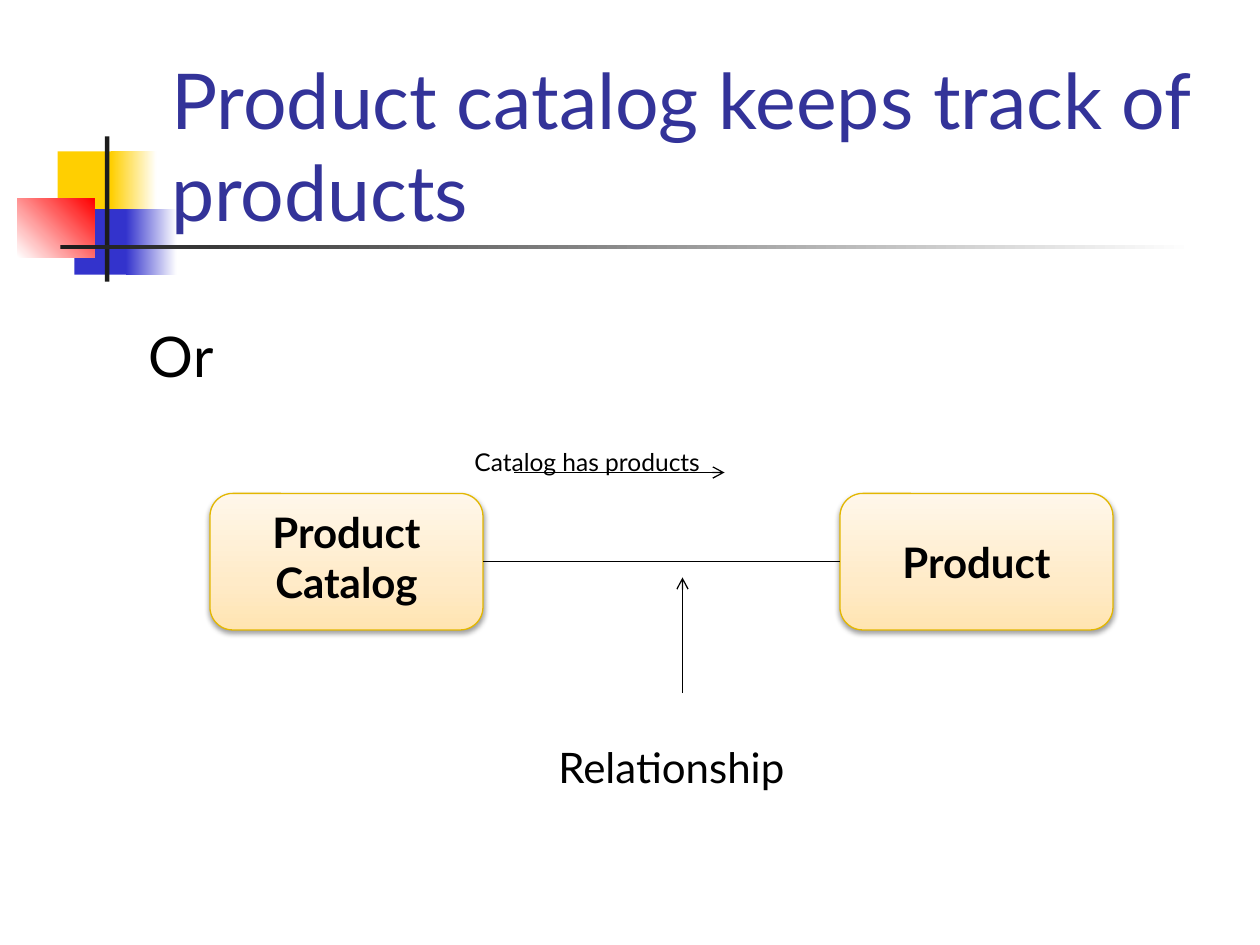
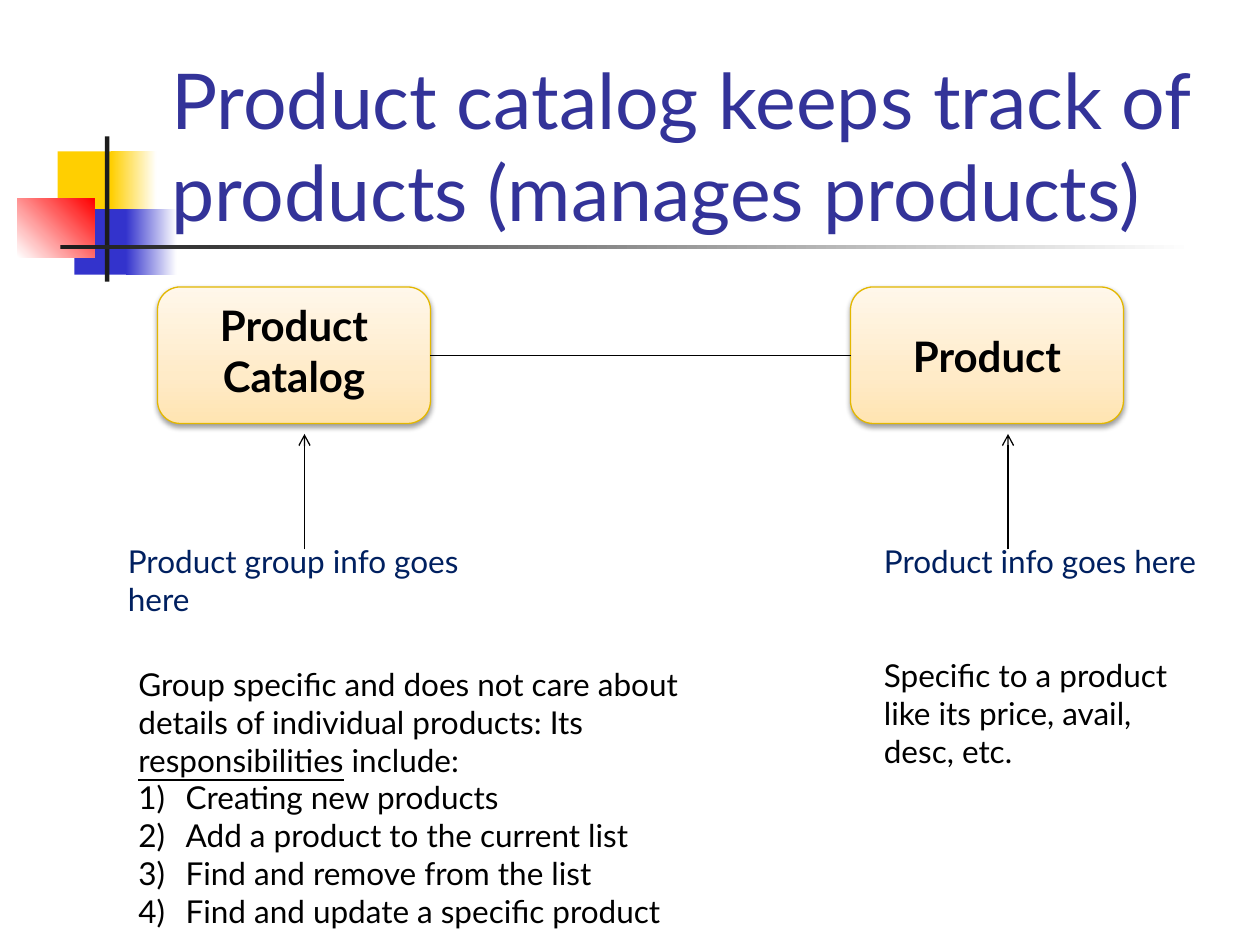
from dataclasses import dataclass

import pptx
import pptx.dml.color
import pptx.enum.shapes
import pptx.enum.text
import pptx.oxml
import pptx.oxml.ns
import pptx.util

Pt = pptx.util.Pt
SHAPES = pptx.enum.shapes.MSO_SHAPE
ALIGN = pptx.enum.text.PP_ALIGN
ANCHOR = pptx.enum.text.MSO_ANCHOR
AUTO_SIZE = pptx.enum.text.MSO_AUTO_SIZE


@dataclass(frozen=True)
class Theme:
    font: str = "Lato"
    title_color: str = "333399"
    text_color: str = "000000"
    info_color: str = "002060"
    paper: str = "FFFFFF"
    yellow: str = "FFCF01"
    blue: str = "3333CC"
    red: str = "FF0000"
    rule: str = "1C1C1C"
    box_line: str = "E3B700"
    box_stops: tuple = ((0, "FFE4B1"), (35, "FFEBC8"), (100, "FFF7EA"))
    title_size: int = 44
    lead_size: int = 32
    label_size: int = 24
    note_size: int = 18
    caption_size: int = 14
    line_width: float = 0.75


THEME = Theme()
BOX_WIDTH, BOX_HEIGHT = 156, 78


def rgb(color):
    return pptx.dml.color.RGBColor.from_string(color)


def make_xml(tag, attributes="", content=""):
    namespace = pptx.oxml.ns.nsdecls("a")
    return pptx.oxml.parse_xml(f"<a:{tag} {namespace} {attributes}>{content}</a:{tag}>")


def set_gradient(shape, stops, angle):
    shape.fill.background()
    properties = shape.element.spPr
    colors = "".join(
        f'<a:gs pos="{position * 1000}"><a:srgbClr val="{color}"/></a:gs>'
        for position, color in stops
    )
    gradient = make_xml(
        "gradFill", 'rotWithShape="1"',
        f'<a:gsLst>{colors}</a:gsLst><a:lin ang="{angle * 60000}" scaled="0"/>',
    )
    properties.replace(properties.find(pptx.oxml.ns.qn("a:noFill")), gradient)


def add_shape(slide, kind, frame):
    shape = slide.shapes.add_shape(kind, *map(Pt, frame))
    shape.shadow.inherit = False
    return shape


def format_runs(paragraph, size, color, bold=False):
    for run in paragraph.runs:
        run.font.name = THEME.font
        run.font.size = Pt(size)
        run.font.bold = bold
        run.font.color.rgb = rgb(color)


def add_band(slide):
    blocks = (
        ((33, 86.5, 34.5, 37.5), THEME.yellow, None, 0),
        ((63.5, 86.5, 26, 37.5), THEME.yellow, THEME.paper, 0),
        ((42.5, 119.5, 33, 37.5), THEME.blue, None, 0),
        ((72, 119.5, 29, 37.5), THEME.blue, THEME.paper, 0),
        ((10, 113.5, 44, 33.5), THEME.paper, THEME.red, 315),
        ((60, 78, 2.5, 83), THEME.rule, None, 0),
        ((34.5, 140, 648, 2.5), THEME.rule, THEME.paper, 0),
    )
    for frame, start, end, angle in blocks:
        block = add_shape(slide, SHAPES.RECTANGLE, frame)
        block.line.fill.background()
        if end:
            set_gradient(block, ((0, start), (100, end)), angle)
        else:
            block.fill.solid()
            block.fill.fore_color.rgb = rgb(start)


def add_titled_slide(deck, heading):
    slide = deck.slides.add_slide(deck.slide_layouts[5])
    add_band(slide)
    title = slide.shapes.title
    title.element.getparent().append(title.element)
    title.left, title.top, title.width, title.height = map(Pt, (90.75, 49, 613.5, 90))
    text_frame = title.text_frame
    text_frame.text = heading
    text_frame.auto_size = AUTO_SIZE.NONE
    text_frame.vertical_anchor = ANCHOR.BOTTOM
    text_frame.paragraphs[0].alignment = ALIGN.LEFT
    format_runs(text_frame.paragraphs[0], THEME.title_size, THEME.title_color)
    return slide


def add_class_box(slide, left, top, name, anchor):
    box = add_shape(slide, SHAPES.ROUNDED_RECTANGLE, (left, top, BOX_WIDTH, BOX_HEIGHT))
    set_gradient(box, THEME.box_stops, 270)
    box.line.color.rgb = rgb(THEME.box_line)
    box.line.width = Pt(THEME.line_width)
    effects = box.element.spPr.find(pptx.oxml.ns.qn("a:effectLst"))
    effects.append(make_xml(
        "outerShdw",
        f'blurRad="{Pt(3.1)}" dist="{Pt(1.6)}" dir="5400000" rotWithShape="0"',
        '<a:srgbClr val="000000"><a:alpha val="38000"/></a:srgbClr>',
    ))
    text_frame = box.text_frame
    text_frame.text = name
    text_frame.word_wrap = False
    text_frame.vertical_anchor = anchor
    for paragraph in text_frame.paragraphs:
        paragraph.alignment = ALIGN.CENTER
        format_runs(paragraph, THEME.label_size, THEME.text_color, bold=True)
    return box


def add_line(slide, start, end, arrow=False):
    line = slide.shapes.add_connector(
        pptx.enum.shapes.MSO_CONNECTOR.STRAIGHT, *map(Pt, (*start, *end))
    )
    line.line.color.rgb = rgb(THEME.text_color)
    line.line.width = Pt(THEME.line_width)
    line.element.spPr.append(make_xml("effectLst"))
    if arrow:
        outline = line.element.spPr.find(pptx.oxml.ns.qn("a:ln"))
        outline.append(make_xml("tailEnd", 'type="arrow"'))
    return line


def add_related_classes(slide, catalog_left, product_left, top):
    catalog = add_class_box(slide, catalog_left, top, "Product\nCatalog", ANCHOR.TOP)
    product = add_class_box(slide, product_left, top, "Product", ANCHOR.MIDDLE)
    middle = top + BOX_HEIGHT / 2
    relation = add_line(slide, (catalog_left + BOX_WIDTH, middle), (product_left, middle))
    relation.begin_connect(catalog, 3)
    relation.end_connect(product, 1)


def add_text(slide, frame, text, size, color=THEME.text_color, wrap=True):
    text_frame = slide.shapes.add_textbox(*map(Pt, frame)).text_frame
    text_frame.text = text
    text_frame.word_wrap = wrap
    text_frame.auto_size = AUTO_SIZE.SHAPE_TO_FIT_TEXT
    for paragraph in text_frame.paragraphs:
        format_runs(paragraph, size, color)
    return text_frame


def add_responsibilities(slide, frame, lead, underlined, ending, duties):
    text_frame = add_text(slide, frame, "\n".join([lead, *duties]), THEME.note_size)
    intro, *items = text_frame.paragraphs
    for part in (underlined, ending):
        run = intro.add_run()
        run.text = part
        run.font.underline = part == underlined
    format_runs(intro, THEME.note_size, THEME.text_color)
    for item in items:
        properties = item._p.get_or_add_pPr()
        properties.set("marL", str(Pt(27)))
        properties.set("indent", str(-Pt(27)))
        properties.append(make_xml("buFont", f'typeface="{THEME.font}"'))
        properties.append(make_xml("buAutoNum", 'type="arabicParenR"'))


def build_relationship_slide(deck):
    slide = add_titled_slide(deck, "Product catalog keeps track of products")
    add_related_classes(slide, 120, 480, 282)
    add_line(slide, (390, 396), (390, 330), arrow=True)
    add_text(slide, (312, 420, 144, 36), "Relationship", THEME.label_size, wrap=False)
    add_text(slide, (78, 180, 602.5, 46), "Or", THEME.lead_size)
    add_text(slide, (264, 252, 145.5, 24.5), "Catalog has products",
             THEME.caption_size, wrap=False)
    add_line(slide, (294, 270), (414, 270), arrow=True)


def build_responsibilities_slide(deck):
    slide = add_titled_slide(
        deck, "Product catalog keeps track of products (manages products)"
    )
    add_related_classes(slide, 90, 486, 164)
    for pointer in (174, 576):
        add_line(slide, (pointer, 314), (pointer, 248), arrow=True)
    add_text(slide, (498, 306, 198, 29), "Product info goes here",
             THEME.note_size, THEME.info_color)
    add_text(slide, (66, 306, 216, 51), "Product group info goes here",
             THEME.note_size, THEME.info_color)
    add_text(slide, (498, 371.5, 198, 73),
             "Specific to a product like its price, avail, desc, etc.", THEME.note_size)
    add_responsibilities(
        slide, (72, 376.5, 348, 181.5),
        "Group specific and does not care about details of individual products: Its ",
        "responsibilities", " include:",
        ("Creating new products", "Add a product to the current list",
         "Find and remove from the list", "Find and update a specific product"),
    )


def main():
    deck = pptx.Presentation()
    deck.slide_width, deck.slide_height = Pt(720), Pt(540)
    build_relationship_slide(deck)
    build_responsibilities_slide(deck)
    deck.save("out.pptx")


if __name__ == "__main__":
    main()
